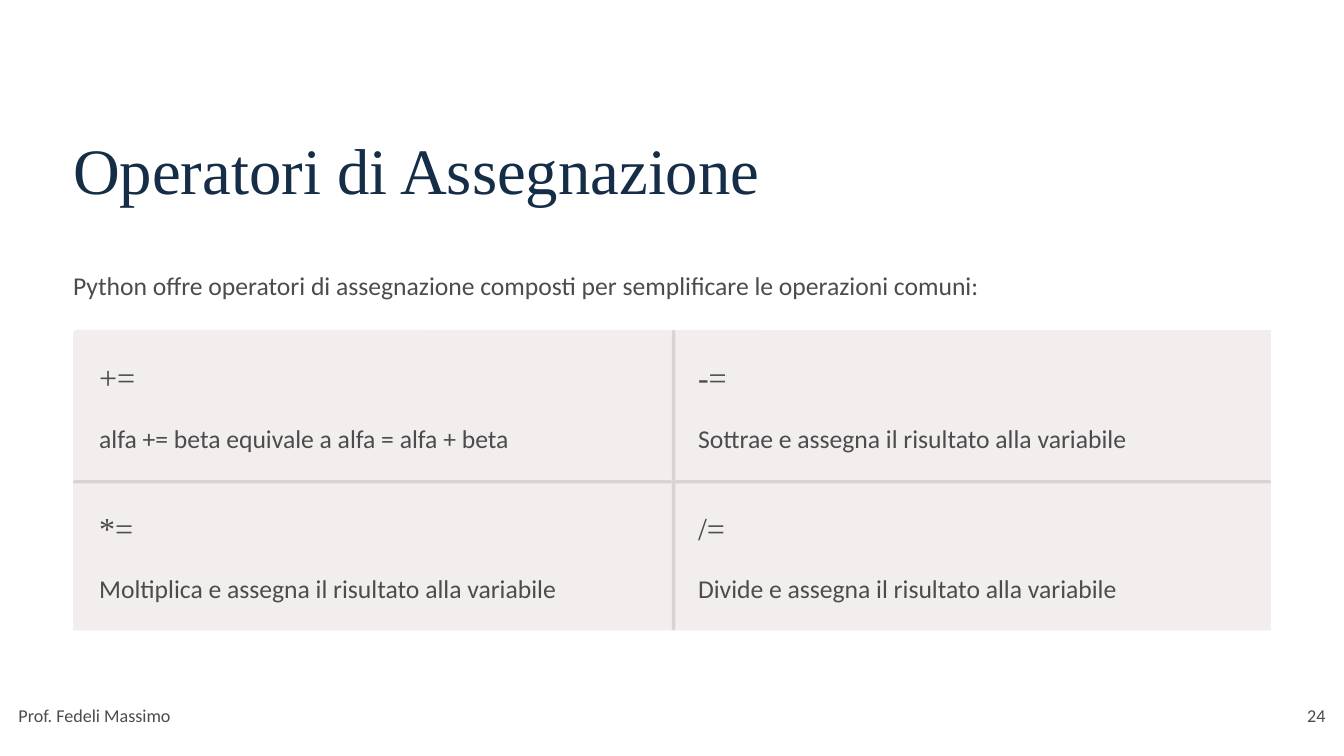
from dataclasses import dataclass

from pptx import Presentation
from pptx.dml.color import RGBColor
from pptx.enum.shapes import MSO_SHAPE
from pptx.enum.text import MSO_ANCHOR, MSO_AUTO_SIZE, PP_ALIGN
from pptx.util import Cm, Pt


@dataclass(frozen=True)
class TextStyle:
    font: str
    size: float
    line_spacing: float
    color: RGBColor


class Theme:
    navy = RGBColor(0x15, 0x2D, 0x47)
    gray = RGBColor(0x4C, 0x4C, 0x4D)
    panel = RGBColor(0xF2, 0xEE, 0xEE)
    rule = RGBColor(0xD8, 0xD4, 0xD4)
    title = TextStyle("Times New Roman", 55.5, 69.5, navy)
    operator = TextStyle("Times New Roman", 27.5, 34.5, gray)
    body = TextStyle("Calibri", 22, 35.5, gray)
    footer = TextStyle("Calibri", 15.5, 25, gray)


@dataclass(frozen=True)
class Box:
    """A rectangle in centimetres."""
    left: float
    top: float
    width: float
    height: float

    def lengths(self):
        return Cm(self.left), Cm(self.top), Cm(self.width), Cm(self.height)


SLIDE = Box(0, 0, 40.64, 22.86)
MARGIN = 2.21
CONTENT_WIDTH = SLIDE.width - 2 * MARGIN
PADDING = 0.79
RULE_WIDTH = 0.1
CORNER_RADIUS = 0.12

OPERATORS = [
    [("+=", "alfa += beta equivale a alfa = alfa + beta"),
     ("-=", "Sottrae e assegna il risultato alla variabile")],
    [("*=", "Moltiplica e assegna il risultato alla variabile"),
     ("/=", "Divide e assegna il risultato alla variabile")],
]


def write_text(shape, text, style, alignment=PP_ALIGN.LEFT):
    frame = shape.text_frame
    frame.margin_left = frame.margin_top = 0
    frame.margin_right = frame.margin_bottom = 0
    frame.word_wrap = True
    frame.auto_size = MSO_AUTO_SIZE.NONE
    frame.vertical_anchor = MSO_ANCHOR.TOP
    paragraph = frame.paragraphs[0]
    paragraph.text = text
    paragraph.alignment = alignment
    paragraph.line_spacing = Pt(style.line_spacing)
    paragraph.font.name = style.font
    paragraph.font.size = Pt(style.size)
    paragraph.font.color.rgb = style.color


def add_text(slide, box, text, style, alignment=PP_ALIGN.LEFT):
    write_text(slide.shapes.add_textbox(*box.lengths()), text, style, alignment)


def add_block(slide, box, color, radius=0):
    kind = MSO_SHAPE.ROUNDED_RECTANGLE if radius else MSO_SHAPE.RECTANGLE
    shape = slide.shapes.add_shape(kind, *box.lengths())
    if radius:
        shape.adjustments[0] = radius / min(box.width, box.height)
    shape.shadow.inherit = False
    shape.fill.solid()
    shape.fill.fore_color.rgb = color
    shape.line.fill.background()


def add_title(slide, box, text):
    title = slide.shapes.title
    title.left, title.top, title.width, title.height = box.lengths()
    write_text(title, text, Theme.title)


def add_operator_cell(slide, box, row, column, operator, description):
    # Only the first cell has rounded corners
    first = row == column == 0
    add_block(slide, box, Theme.panel, CORNER_RADIUS if first else 0)

    # Dividers towards the cell on the left and the cell above
    if column:
        divider = Box(box.left, box.top, RULE_WIDTH, box.height)
        add_block(slide, divider, Theme.rule, RULE_WIDTH / 2)
    if row:
        divider = Box(box.left, box.top, box.width, RULE_WIDTH)
        add_block(slide, divider, Theme.rule, RULE_WIDTH / 2)

    # Operator and its meaning
    left, width = box.left + PADDING, box.width - 2 * PADDING
    add_text(slide, Box(left, box.top + PADDING, 9.86, 1.22),
             operator, Theme.operator)
    add_text(slide, Box(left, box.top + 2.49, width, 1.27),
             description, Theme.body)


def add_operator_grid(slide, box, rows):
    add_block(slide, box, Theme.panel, CORNER_RADIUS)
    height = box.height / len(rows)
    for row, cells in enumerate(rows):
        width = box.width / len(cells)
        for column, (operator, description) in enumerate(cells):
            cell = Box(box.left + column * width, box.top + row * height,
                       width, height)
            add_operator_cell(slide, cell, row, column, operator, description)


def add_footer(slide, box, author, number):
    number_width = 1.27
    add_text(slide, Box(box.left, box.top, 5.87, box.height),
             author, Theme.footer)
    add_text(slide, Box(box.left + box.width - number_width, box.top,
                        number_width, box.height),
             number, Theme.footer, PP_ALIGN.RIGHT)


def build_operator_slide(presentation):
    title_only = presentation.slide_layouts[5]
    slide = presentation.slides.add_slide(title_only)
    add_title(slide, Box(MARGIN, 3.81, 21.36, 2.46),
              "Operatori di Assegnazione")
    add_text(slide, Box(MARGIN, 7.85, CONTENT_WIDTH, 1.27),
             "Python offre operatori di assegnazione composti "
             "per semplificare le operazioni comuni:", Theme.body)
    add_operator_grid(slide, Box(MARGIN, 9.98, CONTENT_WIDTH, 9.08), OPERATORS)
    add_footer(slide, Box(0.56, 21.08, SLIDE.width - 2 * 0.56, 0.89),
               "Prof. Fedeli Massimo", "24")


def main():
    presentation = Presentation()
    presentation.slide_width = Cm(SLIDE.width)
    presentation.slide_height = Cm(SLIDE.height)
    build_operator_slide(presentation)
    presentation.save("out.pptx")


if __name__ == "__main__":
    main()
